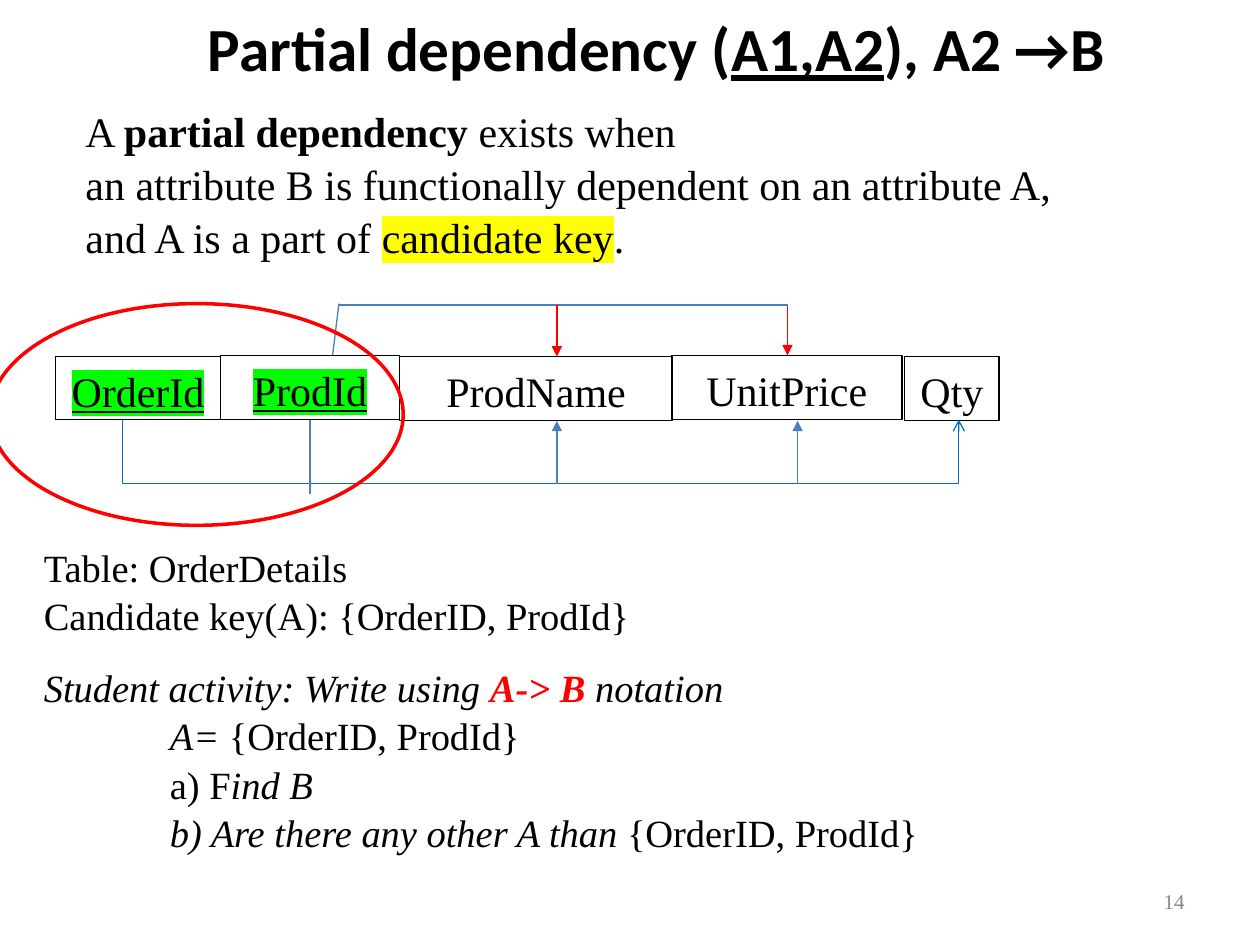
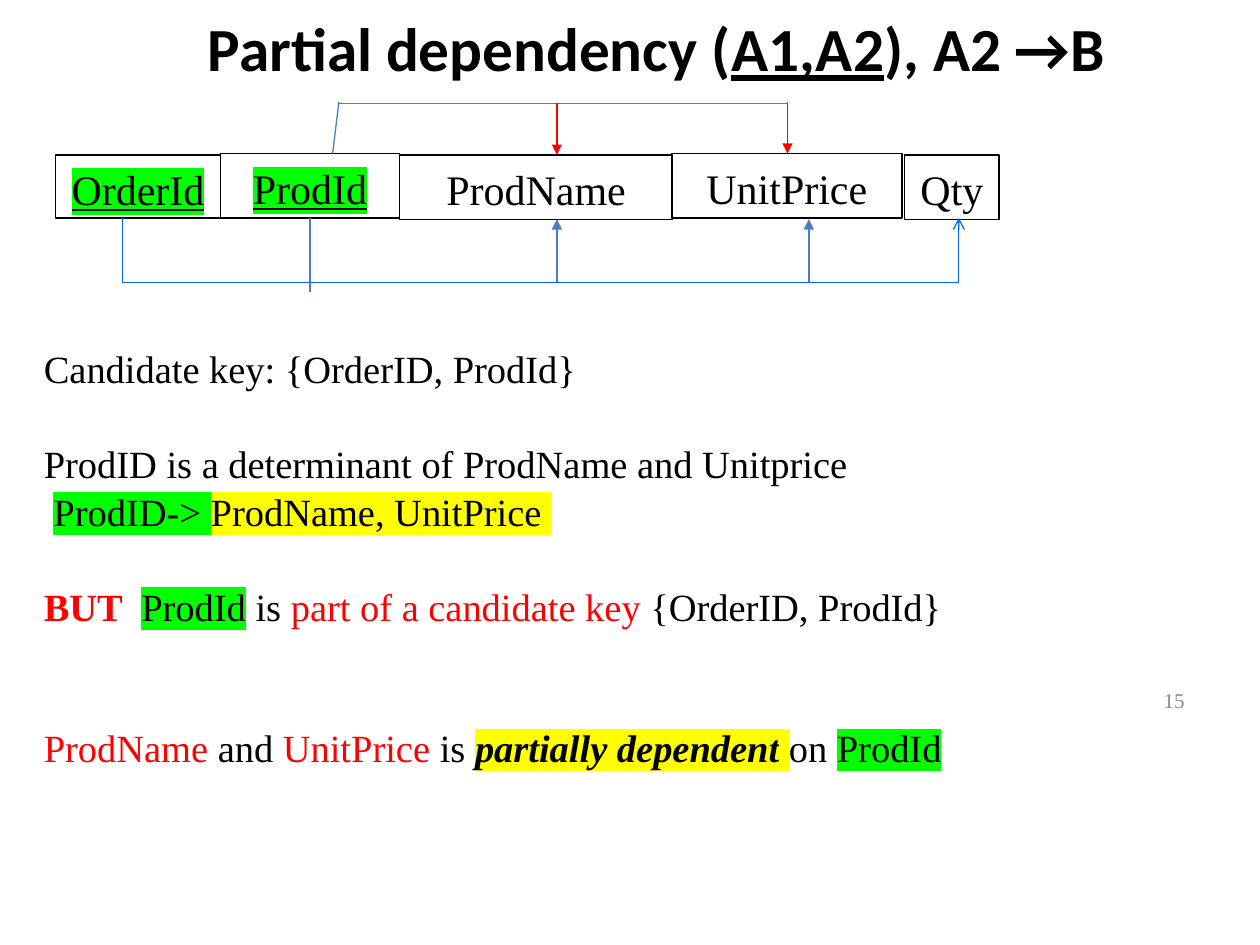
"""Build two slides that explain partial dependency with an attribute diagram."""
from dataclasses import dataclass
from typing import Any

from lxml import etree
from pptx import Presentation
from pptx.dml.color import RGBColor
from pptx.enum.shapes import MSO_CONNECTOR, MSO_SHAPE
from pptx.enum.text import MSO_ANCHOR, PP_ALIGN
from pptx.oxml.ns import qn
from pptx.util import Inches, Pt

RECT, OVAL = MSO_SHAPE.RECTANGLE, MSO_SHAPE.OVAL
STRAIGHT = MSO_CONNECTOR.STRAIGHT
LEFT, CENTER, RIGHT = PP_ALIGN.LEFT, PP_ALIGN.CENTER, PP_ALIGN.RIGHT
TOP, MIDDLE = MSO_ANCHOR.TOP, MSO_ANCHOR.MIDDLE


@dataclass(frozen=True)
class Theme:
    """Colours, fonts and type sizes in points."""
    black: str = "000000"
    red: str = "FF0000"
    gray: str = "898989"
    steel: str = "4B7EBC"
    blue: str = "0070C0"
    azure: str = "0066FF"
    lime: str = "00FF00"
    yellow: str = "FFFF00"
    head_font: str = "Calibri"
    body_font: str = "Times New Roman"
    head: float = 35
    large: float = 24
    body: float = 22
    small: float = 12
    thin: float = 0.75
    thick: float = 2
    pitch: float = 1.05
    blank: float = 26.5


THEME = Theme()


@dataclass(frozen=True)
class Bit:
    """A stretch of text in one format."""
    text: str
    bold: bool = False
    ital: bool = False
    under: bool = False
    color: str = THEME.black
    mark: str = ""


@dataclass(frozen=True)
class Line:
    """A paragraph with its gap above in blank lines and its indent in inches."""
    bits: tuple[Bit, ...]
    gap: float = 0
    indent: float = 0


@dataclass(frozen=True)
class Cell:
    """An attribute box, placed from the top of the diagram."""
    name: str
    left: float
    width: float
    drop: float = 0.01
    high: float = 0.51
    key: bool = False


@dataclass(frozen=True)
class Link:
    """A straight line, placed from the top of the diagram."""
    x1: float
    y1: float
    x2: float
    y2: float
    color: str = THEME.steel
    tip: str = ""


CELLS = (
    Cell("ProdId", 1.75, 1.42, drop=0, key=True),
    Cell("ProdName", 3.17, 2.17),
    Cell("Qty", 7.18, 0.75),
    Cell("UnitPrice", 5.33, 1.83, drop=0),
    Cell("OrderId", 0.44, 1.31, high=0.5, key=True),
)
LINKS = (
    Link(6.25, -0.41, 6.25, 0, THEME.red, "triangle"),
    Link(2.64, 0, 2.69, -0.41),
    Link(2.69, -0.4, 6.25, -0.4),
    Link(4.42, -0.4, 4.42, 0.01, THEME.red, "triangle"),
    Link(2.46, 0.51, 2.46, 1.1),
    Link(4.42, 1.02, 4.42, 0.52, tip="triangle"),
)
TITLE = Line((Bit("Partial dependency (", bold=True),
              Bit("A1,A2", bold=True, under=True),
              Bit("), A2 →B", bold=True)))
KEYS = "{OrderID, ProdId}"

MEANING = (
    Line((Bit("A "), Bit("partial dependency", bold=True), Bit(" exists when"))),
    Line((Bit("an attribute B is functionally dependent on an attribute A, "
              "and A is a part of "),
          Bit("candidate key", mark=THEME.yellow), Bit("."))),
)
TABLE = (
    Line((Bit("Table: OrderDetails"),)),
    Line((Bit("Candidate key(A): " + KEYS),)),
)
TASK = (
    Line((Bit("Student activity: Write using ", ital=True),
          Bit("A-> B ", bold=True, ital=True, color=THEME.red),
          Bit("notation", ital=True))),
    Line((Bit("A= ", ital=True), Bit(KEYS)), indent=1),
    Line((Bit("a) F"), Bit("ind B", ital=True)), indent=1),
    Line((Bit("b) Are there any other A than ", ital=True), Bit(KEYS)), indent=1),
)
PROOF = (
    Line((Bit("Candidate key: " + KEYS),)),
    Line((Bit("ProdID is a determinant of ProdName and Unitprice"),), gap=1),
    Line((Bit(" "), Bit("ProdID-> ", mark=THEME.lime),
          Bit("ProdName, UnitPrice ", mark=THEME.yellow))),
    Line((Bit("BUT  ", bold=True, color=THEME.red),
          Bit("ProdId", mark=THEME.lime), Bit(" is "),
          Bit("part of a candidate key ", color=THEME.red), Bit(KEYS)), gap=1),
    Line((Bit("ProdName ", color=THEME.red), Bit("and "),
          Bit("UnitPrice ", color=THEME.red), Bit("is "),
          Bit("partially dependent", bold=True, ital=True, mark=THEME.yellow),
          Bit(" ", bold=True, mark=THEME.yellow), Bit("on "),
          Bit("ProdId", mark=THEME.lime)), gap=2),
)


def write(frame: Any, *lines: Line, size: float = THEME.body,
          font: str = THEME.body_font, align: PP_ALIGN = LEFT,
          anchor: MSO_ANCHOR = TOP, pitch: float = THEME.pitch) -> None:
    """Fill a text frame with formatted lines."""
    frame.word_wrap = True
    frame.vertical_anchor = anchor
    for i, line in enumerate(lines):
        para = frame.add_paragraph() if i else frame.paragraphs[0]
        para.alignment = align
        para.line_spacing = pitch
        para.space_before = Pt(line.gap * THEME.blank)
        if line.indent:
            para._p.get_or_add_pPr().set("marL", str(Inches(line.indent)))
        for bit in line.bits:
            run = para.add_run()
            run.text = bit.text
            face = run.font
            face.name, face.size = font, Pt(size)
            face.bold, face.italic, face.underline = bit.bold, bit.ital, bit.under
            face.color.rgb = RGBColor.from_string(bit.color)
            if bit.mark:
                mark = etree.Element(qn("a:highlight"))
                etree.SubElement(mark, qn("a:srgbClr")).set("val", bit.mark)
                run._r.rPr.find(qn("a:solidFill")).addnext(mark)


def add_text(slide: Any, left: float, top: float, width: float, high: float,
             *lines: Line, **style: Any) -> None:
    """Add a text box with formatted lines."""
    box = slide.shapes.add_textbox(*map(Inches, (left, top, width, high)))
    write(box.text_frame, *lines, **style)


def ink(shape: Any, color: str, width: float = THEME.thin, tip: str = "") -> None:
    """Set the line of a shape and an optional arrowhead."""
    shape.line.color.rgb = RGBColor.from_string(color)
    shape.line.width = Pt(width)
    if tip:
        edge = shape.element.spPr.find(qn("a:ln"))
        etree.SubElement(edge, qn("a:tailEnd")).set("type", tip)


def add_frame(slide: Any, kind: MSO_SHAPE, left: float, top: float, width: float,
              high: float, color: str, weight: float = THEME.thin) -> Any:
    """Add an unfilled outline shape."""
    shape = slide.shapes.add_shape(kind, *map(Inches, (left, top, width, high)))
    shape.shadow.inherit = False
    shape.fill.background()
    ink(shape, color, weight)
    return shape


def add_link(slide: Any, link: Link, top: float) -> None:
    """Add a straight connector."""
    ends = (link.x1, top + link.y1, link.x2, top + link.y2)
    wire = slide.shapes.add_connector(STRAIGHT, *map(Inches, ends))
    ink(wire, link.color, tip=link.tip)
    etree.SubElement(wire.element.spPr, qn("a:effectLst"))


def add_path(slide: Any, top: float, color: str) -> None:
    """Add the bent arrow from OrderId to Qty."""
    spots = [(Inches(x), Inches(top + y))
             for x, y in ((0.97, 0.51), (0.97, 1.02), (7.61, 1.02), (7.61, 0.51))]
    build = slide.shapes.build_freeform(*spots[0])
    build.add_line_segments(spots[1:], close=False)
    bend = build.convert_to_shape()
    bend.shadow.inherit = False
    bend.fill.background()
    ink(bend, color, tip="arrow")


def add_chain(slide: Any, top: float, color: str, price: float) -> None:
    """Draw the attribute boxes and their dependency arrows."""
    for cell in CELLS:
        box = add_frame(slide, RECT, cell.left, top + cell.drop,
                        cell.width, cell.high, THEME.black)
        name = Bit(cell.name, under=cell.key, mark=THEME.lime if cell.key else "")
        write(box.text_frame, Line((name,)), size=THEME.large, align=CENTER)
    add_path(slide, top, color)
    for link in (*LINKS, Link(price, 1.02, price, 0.52, tip="triangle")):
        add_link(slide, link, top)


def add_page(deck: Any, num: int, foot: float) -> Any:
    """Add a slide with the shared title and its page number."""
    slide = deck.slides.add_slide(deck.slide_layouts[5])
    title = slide.shapes.title
    title.left, title.top, title.width, title.height = map(
        Inches, (0.5, -0.25, 9.42, 1.25))
    write(title.text_frame, TITLE, size=THEME.head, font=THEME.head_font,
          align=CENTER, anchor=MIDDLE, pitch=1)
    add_text(slide, 7.17, foot, 2.33, 0.4, Line((Bit(str(num), color=THEME.gray),)),
             size=THEME.small, align=RIGHT, anchor=MIDDLE)
    return slide


def main() -> None:
    """Build and save the deck."""
    deck = Presentation()
    deck.slide_width, deck.slide_height = Inches(10), Inches(7.5)

    rule = add_page(deck, 14, 6.95)
    add_text(rule, 0.58, 0.77, 8.25, 1.31, *MEANING, size=THEME.large)
    add_chain(rule, 2.82, THEME.blue, 6.33)
    add_frame(rule, OVAL, -0.08, 2.41, 3.28, 1.76, THEME.red, THEME.thick)
    add_text(rule, 0.25, 4.25, 9.5, 1.21, *TABLE)
    add_text(rule, 0.25, 5.2, 9.5, 1.95, *TASK)

    proof = add_page(deck, 15, 5.35)
    add_chain(proof, 1.22, THEME.azure, 6.42)
    add_text(proof, 0.25, 2.67, 9.5, 4.91, *PROOF)

    deck.save("out.pptx")


if __name__ == "__main__":
    main()
